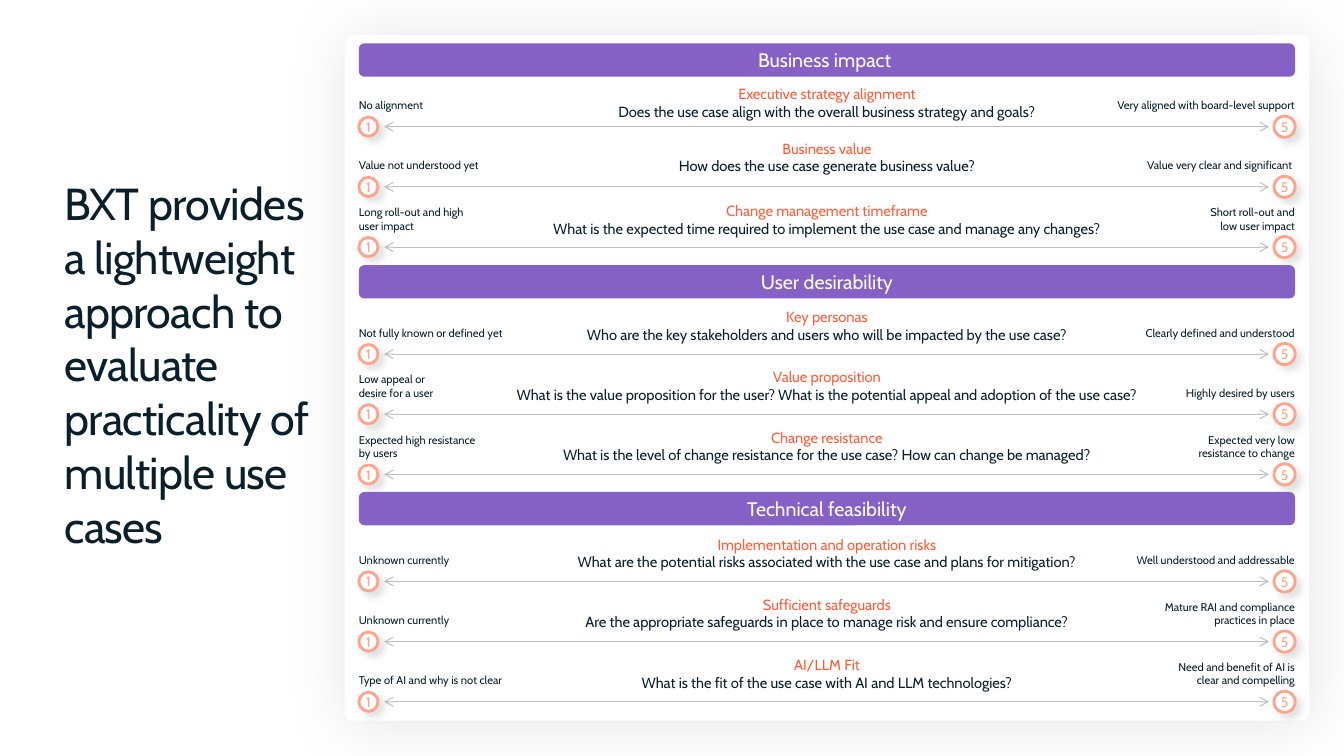
from lxml import etree
from pptx import Presentation
from pptx.dml.color import RGBColor
from pptx.enum.shapes import MSO_CONNECTOR, MSO_SHAPE
from pptx.enum.text import MSO_ANCHOR, MSO_AUTO_SIZE, PP_ALIGN
from pptx.oxml.ns import qn
from pptx.util import Pt

ROUNDED = MSO_SHAPE.ROUNDED_RECTANGLE
OVAL = MSO_SHAPE.OVAL
STRAIGHT = MSO_CONNECTOR.STRAIGHT
MIDDLE, BOTTOM = MSO_ANCHOR.MIDDLE, MSO_ANCHOR.BOTTOM
LEFT, CENTER, RIGHT = PP_ALIGN.LEFT, PP_ALIGN.CENTER, PP_ALIGN.RIGHT
NO_AUTOFIT = MSO_AUTO_SIZE.NONE

FONT = "Cabin"
WHITE = RGBColor(0xFF, 0xFF, 0xFF)
BLACK = RGBColor(0x00, 0x00, 0x00)
INK = RGBColor(0x09, 0x1F, 0x2C)
PURPLE = RGBColor(0x86, 0x61, 0xC5)
ORANGE = RGBColor(0xFF, 0x5C, 0x38)
PEACH = RGBColor(0xFF, 0xA3, 0x8B)
LINE_GRAY = RGBColor(0xBF, 0xBF, 0xBF)
SHADOW_GRAY = RGBColor(0x73, 0x73, 0x73)

CONTENT_LEFT, CONTENT_RIGHT = 256.3, 925.1
CONTENT_CENTER = (CONTENT_LEFT + CONTENT_RIGHT) / 2
FIRST_SCALE = 90.5
SECTION_PITCH = 162.4
ROW_PITCH = 43
LABEL_GAP = 10.5
LABEL_HEIGHT = 19.4
WIDE = 150
QUESTION_WIDTH = 480

SECTIONS = [
    ("Business impact ", 31, [
        ("Executive strategy alignment",
         "Does the use case align with the overall business strategy and goals?", 31,
         ("No alignment", WIDE), ("Very aligned with board-level support", WIDE)),
        ("Business value", "How does the use case generate business value?", 35,
         ("Value not understood yet", WIDE), ("Value very clear and significant ", WIDE)),
        ("Change management timeframe",
         "What is the expected time required to implement the use case and manage any changes?", 33.3,
         ("Long roll-out and high user impact", 75.6), ("Short roll-out and low user impact", 73.4)),
    ]),
    ("User desirability", 189.4, [
        ("Key personas",
         "Who are the key stakeholders and users who will be impacted by the use case?", 34,
         ("Not fully known or defined yet", WIDE), ("Clearly defined and understood", WIDE)),
        ("Value proposition",
         "What is the value proposition for the user? What is the potential appeal and adoption of the use case?", 34,
         ("Low appeal or desire for a user", 69.1), ("Highly desired by users", WIDE)),
        ("Change resistance",
         "What is the level of change resistance for the use case? How can change be managed?", 34,
         ("Expected high resistance by users", 90), ("Expected very low resistance to change", 74.9)),
    ]),
    ("Technical feasibility", 351.4, [
        ("Implementation and operation risks",
         "What are the potential risks associated with the use case and plans for mitigation?", 34,
         ("Unknown currently", WIDE), ("Well understood and addressable", WIDE)),
        ("Sufficient safeguards",
         "Are the appropriate safeguards in place to manage risk and ensure compliance?", 34,
         ("Unknown currently", WIDE), ("Mature RAI and compliance practices in place", 104.4)),
        ("AI/LLM Fit", "What is the fit of the use case with AI and LLM technologies?", 34,
         ("Type of AI and why is not clear", WIDE), ("Need and benefit of AI is clear and compelling", 91.4)),
    ]),
]


def set_frame(frame, anchor, horizontal=0, vertical=0, wrap=True):
    frame.word_wrap = wrap
    frame.auto_size = NO_AUTOFIT
    frame.vertical_anchor = anchor
    frame.margin_left = frame.margin_right = Pt(horizontal)
    frame.margin_top = frame.margin_bottom = Pt(vertical)


def add_run(paragraph, text, size, color, alignment):
    paragraph.alignment = alignment
    run = paragraph.add_run()
    run.text = text
    run.font.name = FONT
    run.font.size = Pt(size)
    run.font.color.rgb = color
    return run


def add_shadow(shape, color, opacity, blur, distance, angle):
    effects = shape._element.spPr.find(qn("a:effectLst"))
    shadow = etree.SubElement(effects, qn("a:outerShdw"), blurRad=str(Pt(blur)),
                              dist=str(Pt(distance)), dir=str(angle * 60000),
                              algn="ctr", rotWithShape="0")
    tint = etree.SubElement(shadow, qn("a:srgbClr"), val=str(color))
    etree.SubElement(tint, qn("a:alpha"), val=str(opacity * 1000))


def add_filled_shape(shapes, kind, left, top, width, height, fill):
    shape = shapes.add_shape(kind, Pt(left), Pt(top), Pt(width), Pt(height))
    shape.shadow.inherit = False
    shape.fill.solid()
    shape.fill.fore_color.rgb = fill
    shape.line.fill.background()
    return shape


def format_title(title):
    title.left, title.top, title.width, title.height = Pt(46), Pt(44), Pt(196.6), Pt(432)
    set_frame(title.text_frame, MIDDLE, 0, 3.6)
    title.text_frame.margin_right = Pt(7.2)
    run = add_run(title.text_frame.paragraphs[0],
                  "BXT provides a lightweight approach to evaluate practicality of multiple use cases",
                  32, INK, LEFT)
    run.font._element.set("spc", "-50")


def add_card(shapes):
    card = add_filled_shape(shapes, ROUNDED, 246.2, 25.2, 689, 489.6, WHITE)
    card.adjustments[0] = 0.012
    add_shadow(card, BLACK, 10, 46, 3, 66)


def add_section_header(shapes, text, top):
    header = add_filled_shape(shapes, ROUNDED, CONTENT_LEFT, top, CONTENT_RIGHT - CONTENT_LEFT, 23.8, PURPLE)
    set_frame(header.text_frame, MIDDLE, 7.2, 2.9)
    add_run(header.text_frame.paragraphs[0], text, 14, WHITE, CENTER)


def add_question(shapes, heading, question, top):
    box = shapes.add_textbox(Pt(CONTENT_CENTER - QUESTION_WIDTH / 2), Pt(top), Pt(QUESTION_WIDTH), Pt(27.4))
    frame = box.text_frame
    set_frame(frame, MIDDLE, 0, 3.6)
    add_run(frame.paragraphs[0], heading, 10.5, ORANGE, CENTER)
    add_run(frame.add_paragraph(), question, 10.5, INK, CENTER)


def add_label(shapes, text, left, width, scale_y, alignment):
    box = shapes.add_textbox(Pt(left), Pt(scale_y - LABEL_GAP - LABEL_HEIGHT), Pt(width), Pt(LABEL_HEIGHT))
    set_frame(box.text_frame, BOTTOM)
    add_run(box.text_frame.paragraphs[0], text, 8, INK, alignment)


def add_score(shapes, text, left, scale_y, diameter):
    circle = add_filled_shape(shapes, OVAL, left, scale_y - diameter / 2, diameter, diameter, WHITE)
    circle.line.color.rgb = PEACH
    circle.line.width = Pt(2)
    add_shadow(circle, SHADOW_GRAY, 20, 5, 5, 45)
    set_frame(circle.text_frame, MIDDLE, wrap=False)
    add_run(circle.text_frame.paragraphs[0], text, 10, PEACH, CENTER)


def add_arrow(shapes, scale_y):
    arrow = shapes.add_connector(STRAIGHT, Pt(274.3), Pt(scale_y), Pt(906.5), Pt(scale_y))
    arrow.line.color.rgb = LINE_GRAY
    arrow.line.width = Pt(0.75)
    outline = arrow.line._get_or_add_ln()
    for end in ("a:headEnd", "a:tailEnd"):
        etree.SubElement(outline, qn(end), type="arrow")
    etree.SubElement(arrow._element.spPr, qn("a:effectLst"))


def add_scale(shapes, low, high, scale_y):
    group = shapes.add_group_shape().shapes
    low_text, low_width = low
    high_text, high_width = high
    add_label(group, low_text, CONTENT_LEFT, low_width, scale_y, LEFT)
    add_score(group, "1", CONTENT_LEFT, scale_y, 13.7)
    add_arrow(group, scale_y)
    add_label(group, high_text, CONTENT_RIGHT - high_width, high_width, scale_y, RIGHT)
    add_score(group, "5", CONTENT_RIGHT - 15.1, scale_y, 15.1)


def main():
    presentation = Presentation()
    presentation.slide_width, presentation.slide_height = Pt(960), Pt(540)
    slide = presentation.slides.add_slide(presentation.slide_layouts[5])
    shapes = slide.shapes
    format_title(shapes.title)
    add_card(shapes)
    for section, (name, header_top, criteria) in enumerate(SECTIONS):
        add_section_header(shapes, name, header_top)
        for row, (heading, question, lift, low, high) in enumerate(criteria):
            scale_y = FIRST_SCALE + section * SECTION_PITCH + row * ROW_PITCH
            add_question(shapes, heading, question, scale_y - lift)
            add_scale(shapes, low, high, scale_y)
    presentation.save("out.pptx")


if __name__ == "__main__":
    main()
